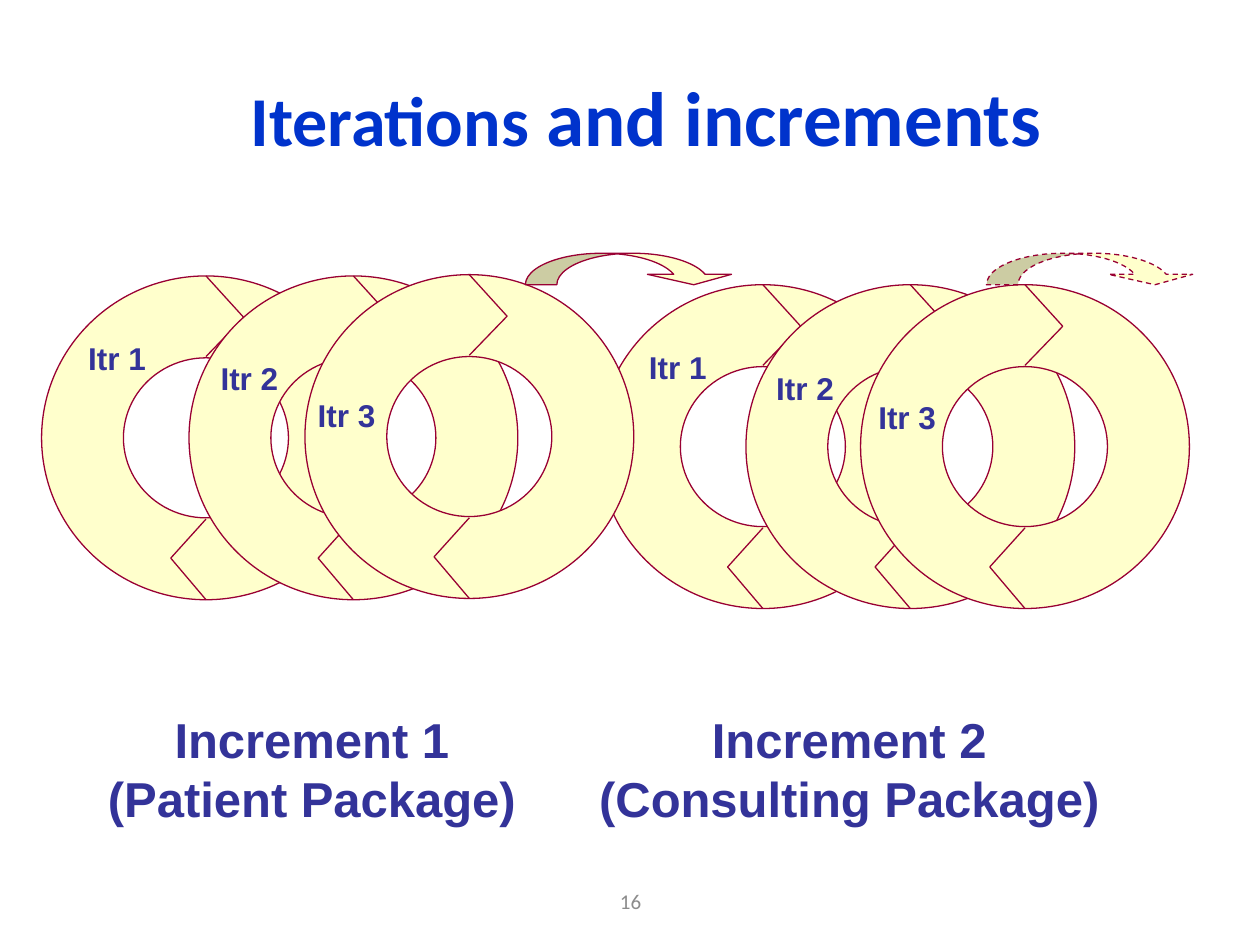
from pptx import Presentation
from pptx.dml.color import RGBColor as RGB
from pptx.enum.dml import MSO_LINE as Dash
from pptx.enum.shapes import MSO_SHAPE as Kind
from pptx.enum.text import MSO_ANCHOR as Anchor, PP_ALIGN as Align
from pptx.util import Inches, Pt

# Content, back to front: ring corner, label, label corner
RINGS = [
    ((0.33, 2.19), "Itr 1", (0.6, 2.64)),
    ((1.5, 2.19), "Itr 2", (1.65, 2.8)),
    ((4.75, 2.26), "Itr 1", (5.05, 2.71)),
    ((5.92, 2.26), "Itr 2", (6.06, 2.88)),
    ((6.83, 2.26), "Itr 3", (6.87, 3.11)),
    ((2.42, 2.18), "Itr 3", (2.42, 3.09)),
]
CAPTIONS = [
    (["Increment 1", "(Patient Package)"], (0.75, 5.58, 3.45, 1.03)),
    (["Increment 2", "(Consulting Package)"], (4.65, 5.58, 4.18, 1.03)),
]
ARROWS = [(4.17, Dash.SOLID), (7.83, Dash.DASH)]
TITLE = [("Iterations", 40), (" and increments", 44)]
PAGE = "16"

THEME = {
    "title": RGB(0x00, 0x33, 0xCC), "text": RGB(0x33, 0x33, 0x99),
    "fill": RGB(0xFF, 0xFF, 0xCC), "line": RGB(0x99, 0x00, 0x33),
    "page": RGB(0x8C, 0x8C, 0x8C),
    "head": "Calibri", "body": "Arial",
    "label": 18, "caption": 28, "number": 12, "stroke": 0.75,
}

# Ring measures: width, height, band thickness
WIDE, HIGH, BAND = 2.61, 2.57, 0.65


def style(para, face, color, size=None, bold=True):
    para.alignment = Align.CENTER
    font = para.font
    font.name, font.bold, font.color.rgb = face, bold, color
    if size:
        font.size = Pt(size)


def paint(shape, filled=True):
    shape.shadow.inherit = False
    if filled:
        shape.fill.solid()
        shape.fill.fore_color.rgb = THEME["fill"]
    else:
        shape.fill.background()
    shape.line.color.rgb = THEME["line"]
    shape.line.width = Pt(THEME["stroke"])


def write(slide, lines, box, size, wrap=False):
    frame = slide.shapes.add_textbox(*map(Inches, box)).text_frame
    frame.word_wrap = wrap
    frame.text = "\n".join(lines)
    for para in frame.paragraphs:
        style(para, THEME["body"], THEME["text"], size)
    return frame


def notch(shapes, points):
    start, *rest = [(Inches(x), Inches(y)) for x, y in points]
    pen = shapes.build_freeform(*start)
    pen.add_line_segments(rest, close=False)
    paint(pen.convert_to_shape(), filled=False)


def ring(slide, x, y):
    shapes = slide.shapes.add_group_shape().shapes
    donut = shapes.add_shape(Kind.DONUT, *map(Inches, (x, y, WIDE, HIGH)))
    donut.adjustments[0] = BAND / HIGH
    paint(donut)
    mid, low = x + WIDE / 2, y + HIGH
    notch(shapes, [(mid, y), (mid + 0.3, y + 0.33), (mid, y + 0.64)])
    notch(shapes, [(mid, low - 0.64), (mid - 0.28, low - 0.33), (mid, low)])


def main():
    deck = Presentation()
    deck.slide_width, deck.slide_height = Inches(10), Inches(7.5)
    slide = deck.slides.add_slide(deck.slide_layouts[5])

    # Title
    title = slide.shapes.title
    title.left, title.top, title.width, title.height = map(
        Inches, (1.67, 0.33, 6.92, 1.17))
    title.text_frame.vertical_anchor = Anchor.MIDDLE
    para = title.text_frame.paragraphs[0]
    style(para, THEME["head"], THEME["title"])
    for text, size in TITLE:
        run = para.add_run()
        run.text, run.font.size = text, Pt(size)

    # Page number
    frame = write(slide, [PAGE], (3.42, 6.95, 3.17, 0.4), THEME["number"], True)
    frame.vertical_anchor = Anchor.MIDDLE
    style(frame.paragraphs[0], THEME["head"], THEME["page"], bold=False)

    # Iteration rings and their labels
    for spot, text, place in RINGS:
        ring(slide, *spot)
        write(slide, [text], (*place, 0.66, 0.4), THEME["label"])

    # Increment captions
    for lines, box in CAPTIONS:
        write(slide, lines, box, THEME["caption"])

    # Arrows to the next increment
    for x, dash in ARROWS:
        arrow = slide.shapes.add_shape(
            Kind.CURVED_DOWN_ARROW, *map(Inches, (x, 2.01, 1.67, 0.25)))
        for i, value in enumerate((1.33, 2.67, 0.33)):
            arrow.adjustments[i] = value
        paint(arrow)
        arrow.line.dash_style = dash

    deck.save("out.pptx")


if __name__ == "__main__":
    main()
